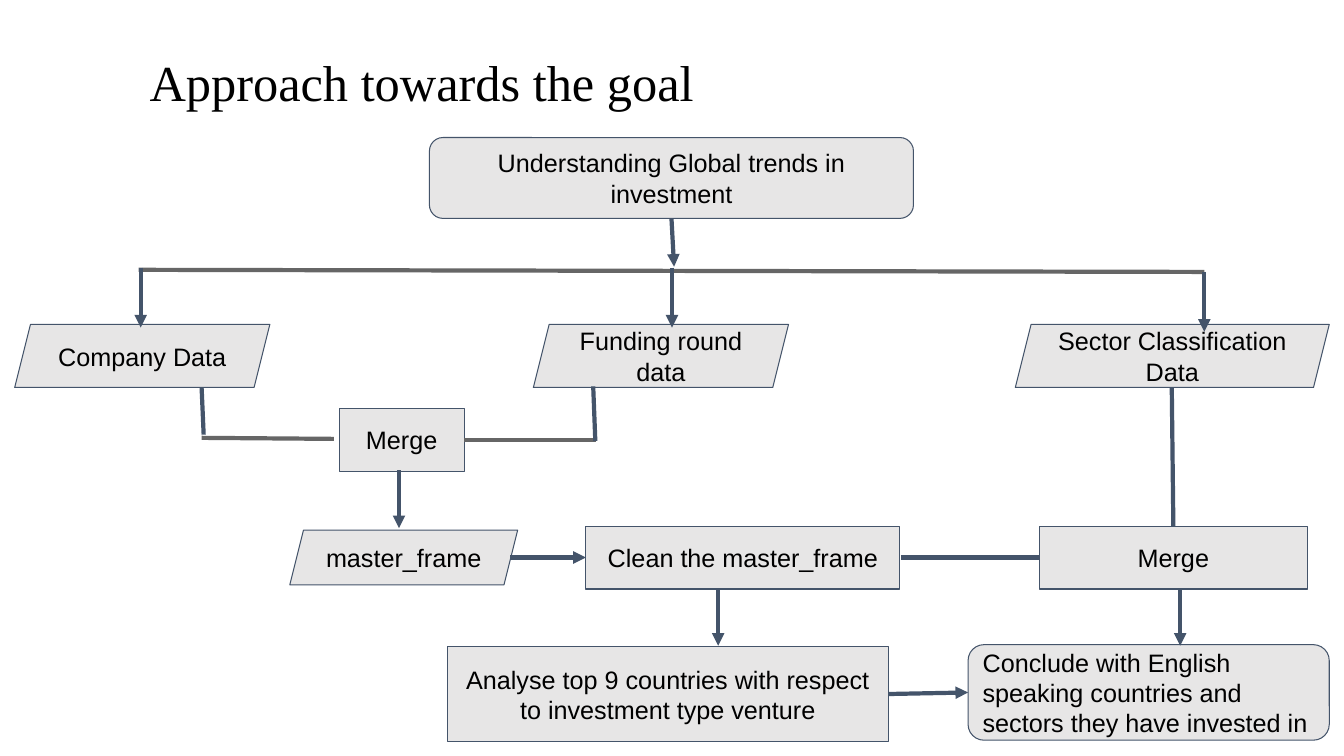
from pptx import Presentation, util as u
from pptx.dml.color import RGBColor
from pptx.enum import shapes, text
from pptx.oxml.ns import qn
from lxml import etree

PX = 9525
HUE = {"ink": "000000", "fill": "E7E6E6", "edge": "44546A", "bus": "666666"}
KIND = shapes.MSO_SHAPE
TOP, LEFT, BASE, RIGHT = range(4)


def color(name):
    return RGBColor.from_string(HUE[name])


def place(box, x, y):
    return u.Emu((box[0] + x) * PX), u.Emu((box[1] + y) * PX)


def add_run(para, words, font, size, bold=False):
    run = para.add_run()
    run.text = words
    run.font.name = font
    run.font.size = u.Pt(size)
    run.font.bold = bold
    run.font.color.rgb = color("ink")


def add_node(slide, box, kind, words, x, y, w, h, align=text.PP_ALIGN.CENTER):
    node = slide.shapes.add_shape(kind, *place(box, x, y), w * PX, h * PX)
    node.shadow.inherit = False
    node.fill.solid()
    node.fill.fore_color.rgb = color("fill")
    node.line.color.rgb = color("edge")
    node.line.width = u.Pt(0.75)
    frame = node.text_frame
    frame.word_wrap = True
    frame.vertical_anchor = text.MSO_ANCHOR.MIDDLE
    frame.margin_left = frame.margin_right = u.Inches(0.1)
    frame.margin_top = frame.margin_bottom = u.Inches(0.1)
    para = frame.paragraphs[0]
    para.alignment = align
    add_run(para, words, "Arial", 18)
    return node


def add_link(slide, box, start, end, head=False, hue="edge"):
    spots = [place(box, *s) if isinstance(s[0], int) else (0, 0) for s in (start, end)]
    link = slide.shapes.add_connector(shapes.MSO_CONNECTOR.STRAIGHT, *spots[0], *spots[1])
    if not isinstance(start[0], int):
        link.begin_connect(*start)
    if not isinstance(end[0], int):
        link.end_connect(*end)
    link.line.color.rgb = color(hue)
    link.line.width = u.Pt(3)
    if head:
        etree.SubElement(link.line._get_or_add_ln(), qn("a:tailEnd"), type="triangle")
    etree.SubElement(link._element.spPr, qn("a:effectLst"))


def draw_title(slide, box):
    x, y, w, h = box
    title = slide.shapes.add_textbox(*place(box, 0, 0), w * PX, h * PX)
    frame = title.text_frame
    frame.word_wrap = True
    frame.vertical_anchor = text.MSO_ANCHOR.MIDDLE
    para = frame.paragraphs[0]
    para.line_spacing = 0.9
    add_run(para, " ", "Times New Roman", 36, True)
    add_run(para, "Approach towards the goal", "Times New Roman", 36)


def draw_sources(slide, box):
    add_link(slide, box, (118, 126), (1133, 128), hue="bus")
    goal = add_node(slide, box, KIND.ROUNDED_RECTANGLE,
                    "Understanding Global trends in investment", 395, 0, 461, 77)
    add_link(slide, box, (goal, BASE), (628, 123), True)
    for words, x, w, drop, y in (
        ("Company Data", 0, 243, 120, 124),
        ("Funding round data", 494, 243, 626, 124),
        ("Sector Classification Data", 953, 299, 1133, 128),
    ):
        add_node(slide, box, KIND.PARALLELOGRAM, words, x, 178, w, 60)
        add_link(slide, box, (drop, y), (drop, y + 57), True)


def draw_merge(slide, box):
    merge = add_node(slide, box, KIND.RECTANGLE, "Merge", 131, 24, 119, 60)
    add_link(slide, box, (0, 4), (2, 49))
    add_link(slide, box, (0, 52), (126, 53), hue="bus")
    add_link(slide, box, (merge, RIGHT), (376, 54), hue="bus")
    add_link(slide, box, (373, 3), (375, 55))
    add_link(slide, box, (188, 83), (188, 138), True)
    add_node(slide, box, KIND.PARALLELOGRAM, "master_frame", 84, 140, 217, 52)


def draw_result(slide, box):
    clean = add_node(slide, box, KIND.RECTANGLE, "Clean the master_frame", 282, 132, 299, 60)
    merge = add_node(slide, box, KIND.RECTANGLE, "Merge", 714, 132, 255, 60)
    study = add_node(slide, box, KIND.RECTANGLE,
                     "Analyse top 9 countries with respect to investment type venture",
                     150, 247, 420, 90)
    close = add_node(slide, box, KIND.ROUNDED_RECTANGLE,
                     "Conclude with English speaking countries and sectors they have invested in",
                     646, 245, 344, 91, text.PP_ALIGN.LEFT)
    add_link(slide, box, (210, 162), (clean, LEFT), True)
    add_link(slide, box, (582, 162), (merge, LEFT))
    add_link(slide, box, (840, 0), (merge, TOP))
    for x in (408, 848):
        add_link(slide, box, (x, 192), (x, 246), True)
    add_link(slide, box, (study, RIGHT), (close, LEFT), True)


def main():
    deck = Presentation()
    deck.slide_width = u.Emu(1280 * PX)
    deck.slide_height = u.Emu(720 * PX)
    slide = deck.slides.add_slide(deck.slide_layouts[6])
    draw_title(slide, (121, 36, 978, 90))
    draw_sources(slide, (14, 131, 1252, 238))
    draw_merge(slide, (192, 365, 376, 192))
    draw_result(slide, (276, 369, 990, 337))
    deck.save("out.pptx")


if __name__ == "__main__":
    main()
